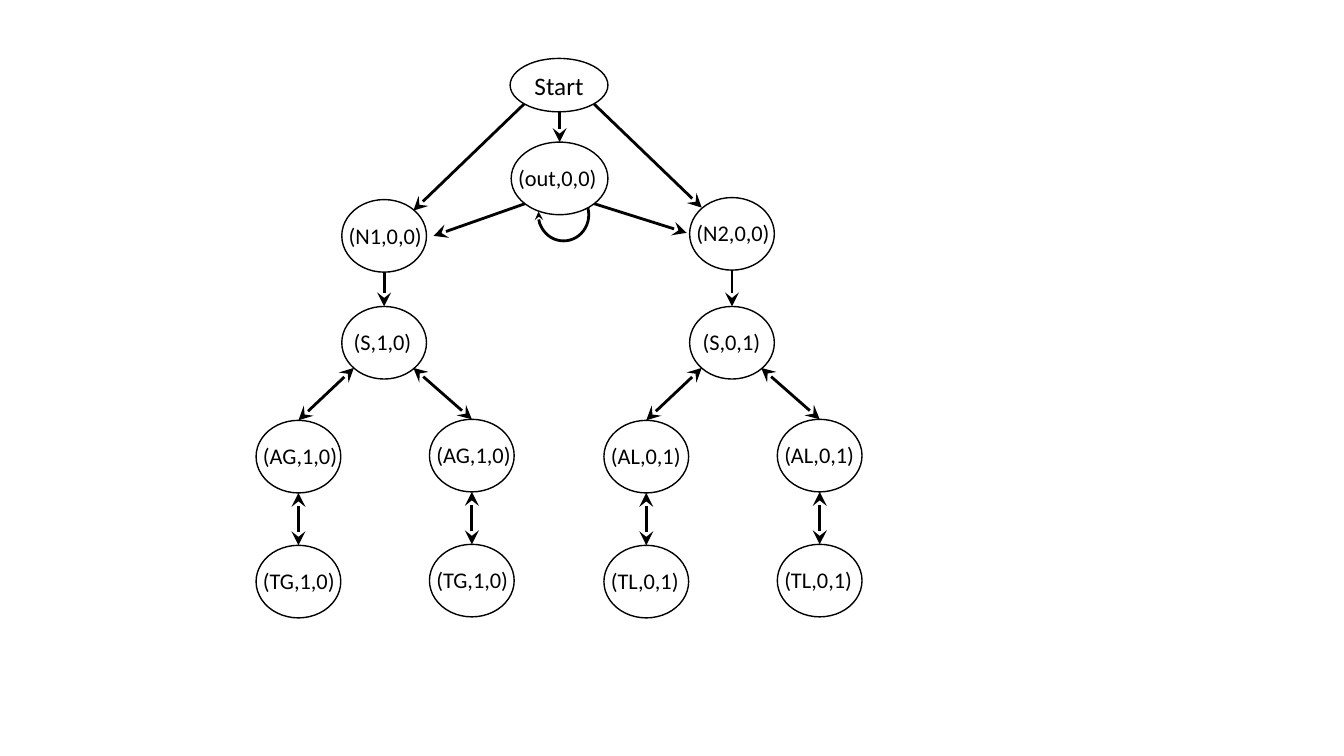
from lxml import etree
from pptx import Presentation
from pptx.dml.color import RGBColor
from pptx.enum.shapes import MSO_CONNECTOR, MSO_SHAPE
from pptx.enum.text import MSO_ANCHOR, MSO_AUTO_SIZE, PP_ALIGN
from pptx.oxml.ns import qn
from pptx.util import Inches, Pt

OVAL, ARC = MSO_SHAPE.OVAL, MSO_SHAPE.ARC
LINE = MSO_CONNECTOR.STRAIGHT
MIDDLE, CENTER = MSO_ANCHOR.MIDDLE, PP_ALIGN.CENTER
GROW = MSO_AUTO_SIZE.SHAPE_TO_FIT_TEXT
BLACK = RGBColor(0x00, 0x00, 0x00)
WHITE = RGBColor(0xFF, 0xFF, 0xFF)

NODE_W, NODE_H = 0.84, 0.72
SHIFT = 3.45
BRANCHES = [
    (0, "(N1,0,0)", 1.98, "(S,1,0)", 0.02, "(AG,1,0)", 0.95, "(TG,1,0)", 0.92),
    (SHIFT, "(N2,0,0)", 1.96, "(S,0,1)", 0.03, "(AL,0,1)", 0.91, "(TL,0,1)", 0.88),
]
LEAVES = [(2.54, 4.17, 3.51), (4.26, 4.16, 4.1)]
STARTS = [
    (5.2, 1.03, 4.1, 2.09),
    (5.55, 1.1, 5.55, 1.41),
    (5.89, 1.03, 6.96, 2.06),
    (5.21, 2.02, 4.3, 2.34),
    (5.89, 2.02, 6.81, 2.31),
]


class Graph:
    def __init__(self, slide):
        self.shapes = slide.shapes
        self.font = {"name": "Calibri", "size": Pt(16)}

    def ink(self, line, width):
        line.color.rgb = BLACK
        line.width = Pt(width)

    def tip(self, item, size, both=False):
        ln = item._element.spPr.find(qn("a:ln"))
        for end in ("a:headEnd", "a:tailEnd") if both else ("a:tailEnd",):
            etree.SubElement(ln, qn(end), type="stealth", w=size, len=size)

    def text(self, frame, words, **more):
        run = frame.paragraphs[0].add_run()
        run.text = words
        for key, value in {**self.font, **more}.items():
            setattr(run.font, key, value)
        run.font.color.rgb = BLACK

    def oval(self, x, y, w=NODE_W, h=NODE_H, fill=None):
        oval = self.shapes.add_shape(OVAL, *map(Inches, (x, y, w, h)))
        oval.shadow.inherit = False
        if fill is None:
            oval.fill.background()
        else:
            oval.fill.solid()
            oval.fill.fore_color.rgb = fill
        self.ink(oval.line, 1)
        return oval

    def label(self, words, x, y, w):
        box = self.shapes.add_textbox(*map(Inches, (x, y, w, 0.37)))
        box.text_frame.word_wrap = False
        box.text_frame.auto_size = GROW
        self.text(box.text_frame, words)

    def node(self, words, x, y, span, shift=-0.03, **style):
        self.oval(x, y, **style)
        self.label(words, x + shift, y + 0.17, span)

    def root(self, words, x, y, w, h):
        frame = self.oval(x, y, w, h).text_frame
        frame.vertical_anchor = MIDDLE
        frame.paragraphs[0].alignment = CENTER
        self.text(frame, words, size=Pt(18))

    def arrow(self, x1, y1, x2, y2, both=False):
        line = self.shapes.add_connector(LINE, *map(Inches, (x1, y1, x2, y2)))
        self.ink(line.line, 2)
        self.tip(line, "lg", both)
        etree.SubElement(line._element.spPr, qn("a:effectLst"))

    def loop(self, x, y, w, h, start, end):
        arc = self.shapes.add_shape(ARC, *map(Inches, (x, y, w, h)))
        arc.shadow.inherit = False
        arc.fill.background()
        for i, angle in enumerate((start, end)):
            arc.adjustments[i] = angle * 0.6
        self.ink(arc.line, 2)
        self.tip(arc, "med")


def main():
    deck = Presentation()
    deck.slide_width, deck.slide_height = Inches(13.33), Inches(7.5)
    graph = Graph(deck.slides.add_slide(deck.slide_layouts[6]))

    graph.root("Start", 5.06, 0.58, 0.97, 0.53)
    for ends in STARTS:
        graph.arrow(*ends)
    graph.loop(5.34, 1.87, 0.5, 0.52, 280, 187)
    graph.node("(out,0,0)", 5.07, 1.41, 0.99, w=0.96, fill=WHITE)

    for dx, entry, top, state, shift, mid, mid_w, leaf, leaf_w in BRANCHES:
        x = 3.39 + dx
        axis = x + NODE_W / 2
        graph.node(entry, x, top, 0.94)
        graph.node(state, x, 3.04, 0.78, shift)
        graph.arrow(axis, top + NODE_H, axis, 3.04)
        for left, y, joint in LEAVES:
            left += dx
            hub = left + NODE_W / 2
            graph.node(mid, left, y, mid_w)
            graph.node(leaf, left, y + 1.24, leaf_w)
            graph.arrow(joint + dx, 3.65, hub, y, True)
            graph.arrow(hub, y + NODE_H, hub, y + 1.24, True)

    deck.save("out.pptx")


if __name__ == "__main__":
    main()
